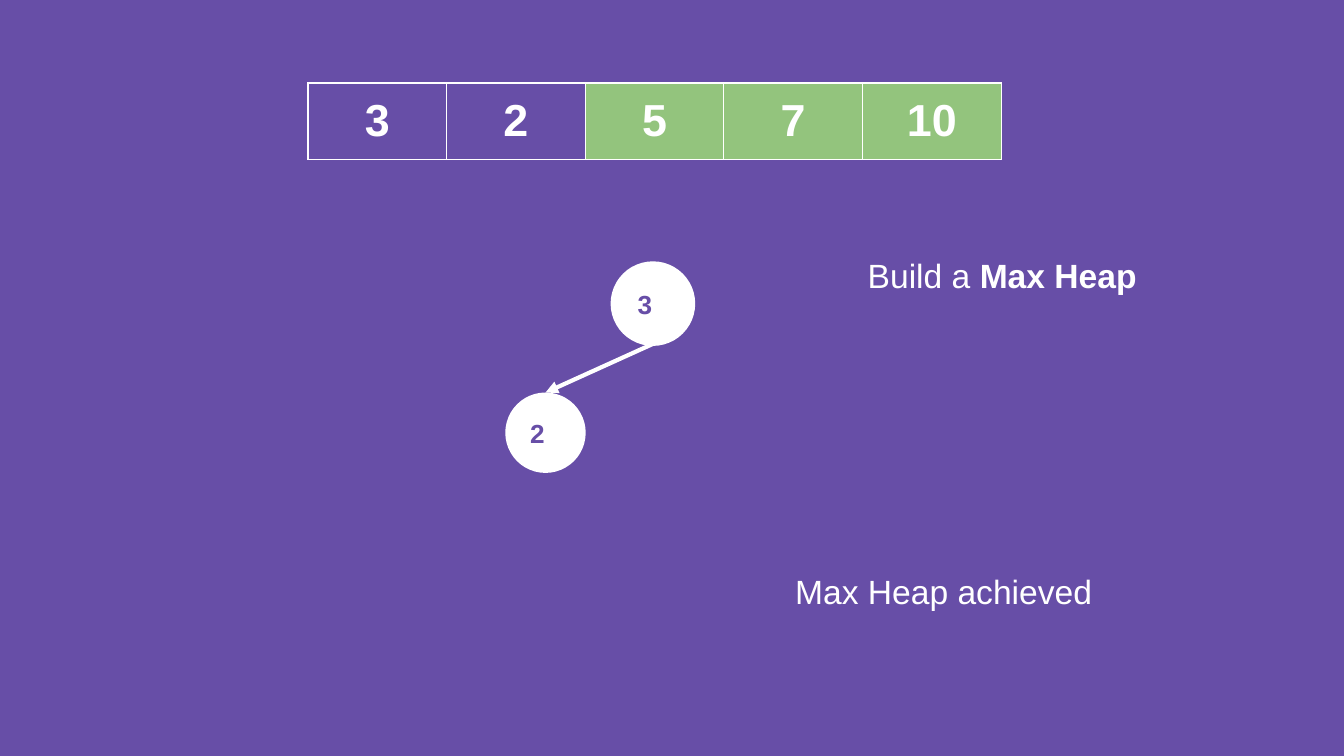
import pptx
import pptx.dml.color
import pptx.enum.shapes
import pptx.enum.text
import pptx.oxml
import pptx.oxml.ns
import pptx.util
from lxml import etree

Cm = pptx.util.Cm
Pt = pptx.util.Pt
qn = pptx.oxml.ns.qn
ALIGN = pptx.enum.text.PP_ALIGN
ANCHOR = pptx.enum.text.MSO_ANCHOR

COLORS = {"purple": "674EA7", "white": "FFFFFF", "green": "93C47D"}
INSET = Cm(0.25)
NODE_SIZE = 1.52


def rgb(name):
    return pptx.dml.color.RGBColor.from_string(COLORS[name])


def paint(fill, color):
    fill.solid()
    fill.fore_color.rgb = rgb(color)


def write(tf, text, size=18, color="white", bold=False, align=ALIGN.LEFT, new=True):
    """Write a run into the first paragraph; new=False appends to it."""
    p = tf.paragraphs[0]
    if new:
        p.clear()
    p.alignment = align
    r = p.add_run()
    r.text = text
    r.font.name = "Arial"
    r.font.size = Pt(size)
    r.font.bold = bold
    r.font.color.rgb = rgb(color)


def set_insets(box):
    box.margin_left = box.margin_right = INSET
    box.margin_top = box.margin_bottom = INSET


def add_borders(cell, color, width):
    tcPr = cell._tc.get_or_add_tcPr()
    for i, side in enumerate(("lnL", "lnR", "lnT", "lnB")):
        ln = etree.Element(qn(f"a:{side}"), w=str(Pt(width)))
        fill = etree.SubElement(ln, qn("a:solidFill"))
        etree.SubElement(fill, qn("a:srgbClr"), val=COLORS[color])
        tcPr.insert(i, ln)


def add_array(s, values, sorted_from, x, y, col_width, row_height):
    """One-row table; cells from index sorted_from on are in final order."""
    frame = s.shapes.add_table(1, len(values), Cm(x), Cm(y),
                               Cm(col_width * len(values)), Cm(row_height))
    table = frame.table
    table.first_row = table.horz_banding = False
    for i, value in enumerate(values):
        table.columns[i].width = Cm(col_width)
        cell = table.cell(0, i)
        set_insets(cell)
        paint(cell.fill, "green" if i >= sorted_from else "purple")
        add_borders(cell, "white", 0.75)
        write(cell.text_frame, str(value), size=24, bold=True, align=ALIGN.CENTER)


def add_node(s, value, x, y, outline=None):
    sp = s.shapes.add_shape(pptx.enum.shapes.MSO_SHAPE.OVAL, Cm(x), Cm(y),
                            Cm(NODE_SIZE), Cm(NODE_SIZE))
    sp.shadow.inherit = False
    paint(sp.fill, "white")
    if outline:
        paint(sp.line.fill, "white")
        sp.line.width = Pt(outline)
    else:
        sp.line.fill.background()
    tf = sp.text_frame
    set_insets(tf)
    tf.vertical_anchor = ANCHOR.MIDDLE
    write(tf, str(value), size=14, color="purple", bold=True)
    return sp


def add_edge(s, parent, child):
    """Arrow from the bottom of the parent node to the top of the child."""
    line = s.shapes.add_connector(
        pptx.enum.shapes.MSO_CONNECTOR.STRAIGHT,
        parent.left + parent.width // 2, parent.top + parent.height,
        child.left + child.width // 2, child.top)
    line.end_connect(child, 0)
    paint(line.line.fill, "white")
    line.line.width = Pt(2.25)
    etree.SubElement(line.line._get_or_add_ln(), qn("a:tailEnd"), type="triangle")
    etree.SubElement(line._element.spPr, qn("a:effectLst"))


def add_note(s, x, y, text):
    sp = s.shapes.add_textbox(Cm(x), Cm(y), Cm(9.7), Cm(2.36))
    tf = sp.text_frame
    tf.word_wrap = True
    set_insets(tf)
    write(tf, text)
    return tf


def main():
    prs = pptx.Presentation()
    prs.slide_width, prs.slide_height = Cm(25.4), Cm(14.29)
    s = prs.slides.add_slide(prs.slide_layouts[6])
    paint(s.background.fill, "purple")

    # Array with its sorted tail
    add_array(s, [3, 2, 5, 7, 10], sorted_from=2, x=5.82, y=1.57,
              col_width=2.62, row_height=1.19)

    # Heap of the unsorted values
    root = add_node(s, 3, 11.58, 4.98, outline=2.25)
    child = add_node(s, 2, 9.55, 7.42)
    add_edge(s, root, child)

    # Explanations
    tf = add_note(s, 16.15, 4.57, "Build a ")
    write(tf, "Max Heap", bold=True, new=False)
    add_note(s, 14.78, 10.54, "Max Heap achieved")

    prs.save("out.pptx")


if __name__ == "__main__":
    main()
